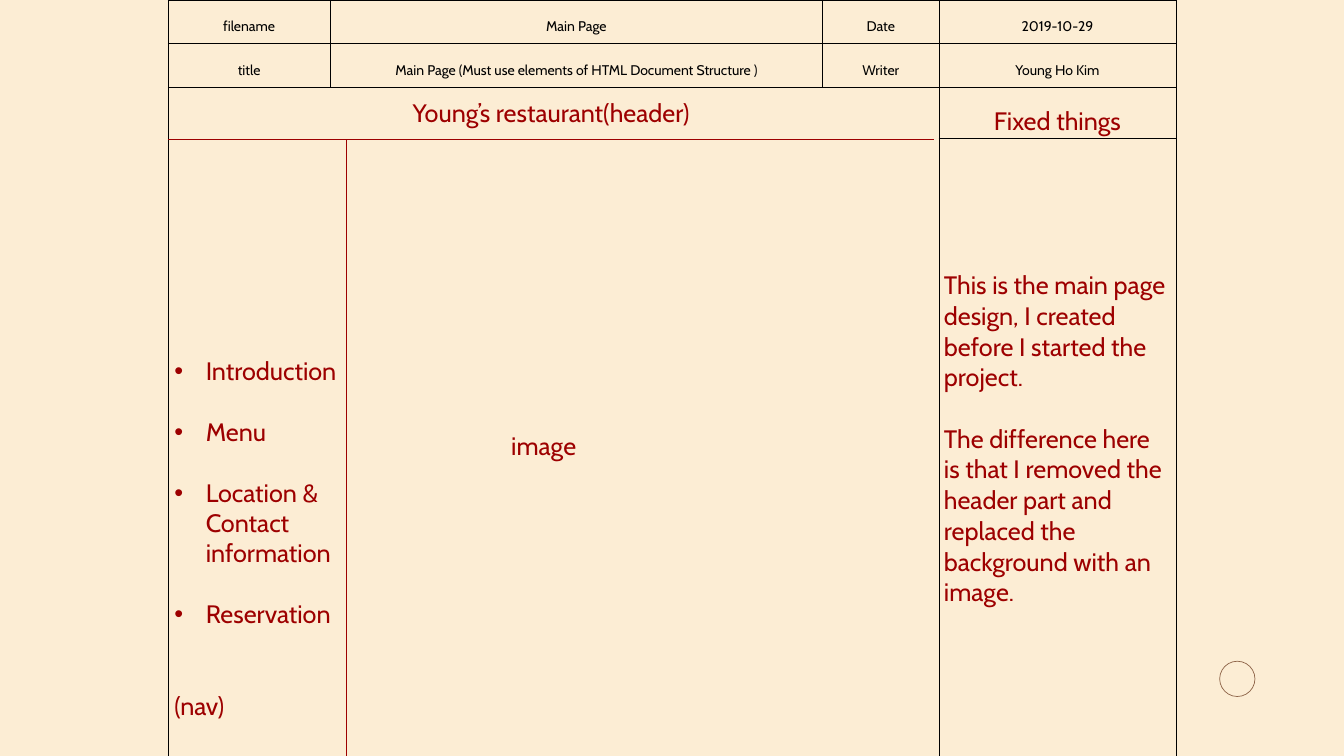
"""Build a wireframe slide for a restaurant's main page."""
from lxml import etree
from pptx import Presentation
from pptx import util as u
from pptx.dml import color
from pptx.enum import shapes, text
from pptx.oxml import ns

RED, BLACK = "9D0000", "000000"
CENTER, LEFT = text.PP_ALIGN.CENTER, text.PP_ALIGN.LEFT
GAP = 21.8


def rgb(value):
    """Turn a hex string into a colour."""
    return color.RGBColor.from_string(value)


def write(frame, lines, size=18, ink=RED, **formats):
    """Write one paragraph per line with the given formats."""
    frame.word_wrap = True
    for number, line in enumerate(lines):
        para = frame.add_paragraph() if number else frame.paragraphs[0]
        for name, value in formats.items():
            setattr(para, name, value)
        span = para.add_run()
        span.text = line
        span.font.name, span.font.size = "Cabin", u.Pt(size)
        span.font.color.rgb = rgb(ink)


deck = Presentation()
deck.slide_width, deck.slide_height = u.Pt(960), u.Pt(540)
page = deck.slides.add_slide(deck.slide_layouts[6])
page.background.fill.solid()
page.background.fill.fore_color.rgb = rgb("FCEDD4")

circle = page.shapes.add_shape(
    shapes.MSO_SHAPE.OVAL, u.Pt(871.2), u.Pt(472.3), u.Pt(25.2), u.Pt(25.2))
circle.shadow.inherit = False
circle.fill.background()
circle.line.color.rgb = rgb("8D6347")
circle.line.width = u.Pt(0.5)

widths = [115.9, 351.7, 83.1, 169.3]
heights = [31, 31, 37, 445]
grid = page.shapes.add_table(
    4, 4, u.Pt(120), 0, u.Pt(sum(widths)), u.Pt(sum(heights))).table
grid.first_row = grid.horz_banding = False
for column, width in zip(grid.columns, widths):
    column.width = u.Pt(width)
for row, height in zip(grid.rows, heights):
    row.height = u.Pt(height)

margins = {"margin_left": 3.6, "margin_right": 3.6, "margin_top": 0.7, "margin_bottom": 0.7}
for cell in grid.iter_cells():
    cell.fill.background()
    cell.vertical_anchor = text.MSO_ANCHOR.MIDDLE
    for name, value in margins.items():
        setattr(cell, name, u.Pt(value))
    properties = cell._tc.get_or_add_tcPr()
    for place, side in enumerate(("lnL", "lnR", "lnT", "lnB")):
        border = etree.Element(ns.qn(f"a:{side}"), w=str(u.Pt(0.28)))
        fill = etree.SubElement(border, ns.qn("a:solidFill"))
        etree.SubElement(fill, ns.qn("a:srgbClr"), val=BLACK)
        properties.insert(place, border)
grid.cell(2, 0).merge(grid.cell(3, 2))

details = [
    ["filename", "Main Page", "Date", "2019-10-29"],
    ["title", "Main Page (Must use elements of HTML Document Structure )", "Writer", "Young Ho Kim"],
]
for row, labels in enumerate(details):
    for column, label in enumerate(labels):
        write(grid.cell(row, column).text_frame, [label], 10, BLACK,
              alignment=CENTER, line_spacing=1.6)
write(grid.cell(2, 3).text_frame, ["Fixed things"], alignment=CENTER, line_spacing=1.6)

notes = grid.cell(3, 3)
notes.margin_bottom = u.Pt(16)
write(notes.text_frame, [
    "This is the main page design, I created before I started the project.",
    "The difference here is that I removed the header part and replaced the background with an image.",
], alignment=LEFT)
notes.text_frame.paragraphs[1].space_before = u.Pt(GAP)

links = ["Introduction", "Menu", "Location & Contact information", "Reservation"]
boxes = [
    (120, 66.2, 547.2, 28.8, ["Young’s restaurant(header)"], CENTER, 0),
    (117.4, 250.6, 156.2, 269.3, links + ["(nav)"], LEFT, GAP),
    (285.1, 303.8, 206.6, 28.8, ["image"], CENTER, 0),
]
for left, top, width, height, lines, alignment, gap in boxes:
    box = page.shapes.add_textbox(u.Pt(left), u.Pt(top), u.Pt(width), u.Pt(height))
    write(box.text_frame, lines, alignment=alignment, space_after=u.Pt(gap))
    for para in box.text_frame.paragraphs:
        if para.text in links:
            bullet = para._p.get_or_add_pPr()
            bullet.set("marL", str(u.Pt(22.5)))
            bullet.set("indent", str(u.Pt(-22.5)))
            etree.SubElement(bullet, ns.qn("a:buFont"), typeface="Arial")
            etree.SubElement(bullet, ns.qn("a:buChar"), char="•")
        elif para.text == "(nav)":
            para.space_before = u.Pt(GAP)

for start_x, start_y, end_x, end_y in [(120, 99.8, 667.2, 99.8), (247.6, 99.8, 247.6, 540)]:
    divider = page.shapes.add_connector(
        shapes.MSO_CONNECTOR.STRAIGHT, u.Pt(start_x), u.Pt(start_y), u.Pt(end_x), u.Pt(end_y))
    divider.line.color.rgb = rgb(RED)
    divider.line.width = u.Pt(0.5)
    etree.SubElement(divider._element.spPr, ns.qn("a:effectLst"))

deck.save("out.pptx")
